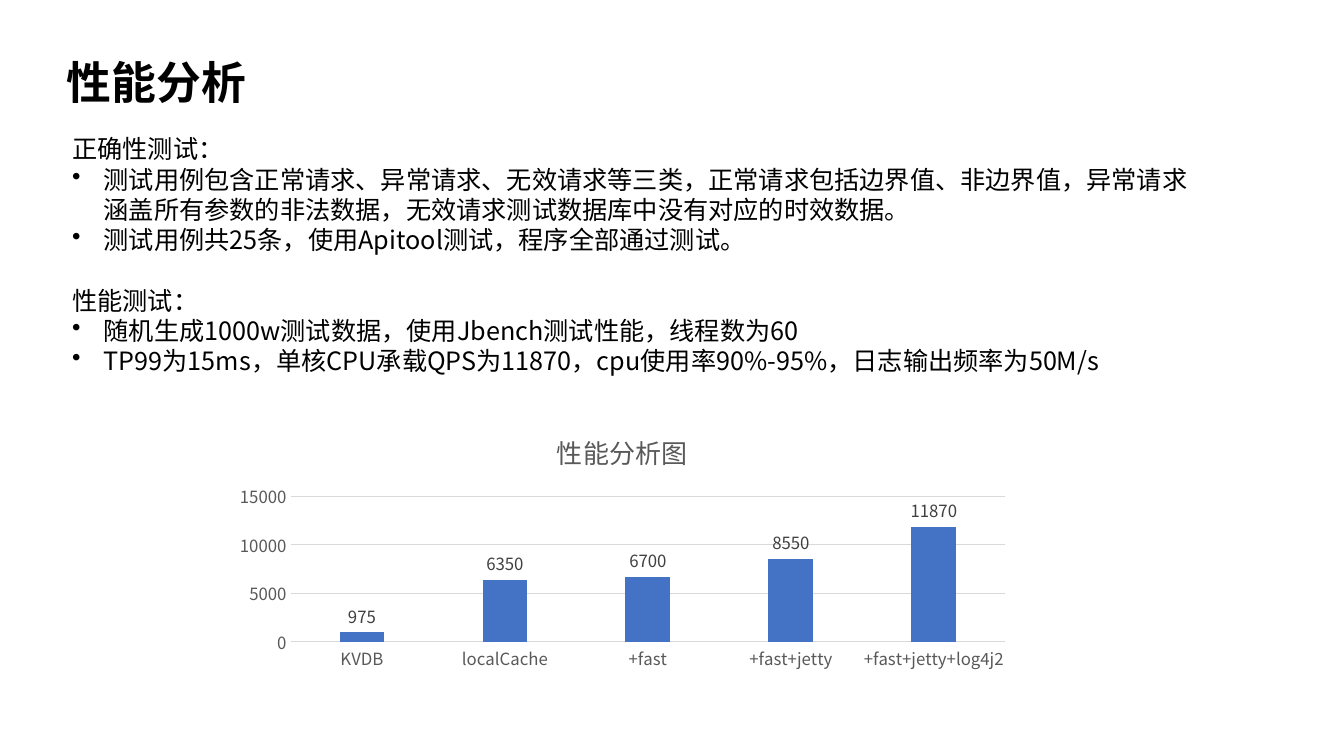
import pptx
import pptx.chart.data
import pptx.dml.color
import pptx.enum.chart
import pptx.enum.text
import pptx.oxml
import pptx.oxml.ns
import pptx.util
from pptx.util import Pt

BLACK = pptx.dml.color.RGBColor(0x00, 0x00, 0x00)
BLUE = pptx.dml.color.RGBColor(0x44, 0x72, 0xC4)
DARK_GRAY = pptx.dml.color.RGBColor(0x40, 0x40, 0x40)
GRAY = pptx.dml.color.RGBColor(0x59, 0x59, 0x59)
LIGHT_GRAY = pptx.dml.color.RGBColor(0xD9, 0xD9, 0xD9)

CORRECTNESS = [
    "测试用例包含正常请求、异常请求、无效请求等三类，正常请求包括边界值、非边界值，"
    "异常请求涵盖所有参数的非法数据，无效请求测试数据库中没有对应的时效数据。",
    "测试用例共25条，使用Apitool测试，程序全部通过测试。",
]
PERFORMANCE = [
    "随机生成1000w测试数据，使用Jbench测试性能，线程数为60",
    "TP99为15ms，单核CPU承载QPS为11870，cpu使用率90%-95%，日志输出频率为50M/s",
]
THROUGHPUT = {
    "KVDB": 975,
    "localCache": 6350,
    "+fast": 6700,
    "+fast+jetty": 8550,
    "+fast+jetty+log4j2": 11870,
}


class SlideBuilder:
    """Holds the text style and the current slide."""

    font_name = "Noto Sans CJK SC"
    line_factor = 1.2
    indent = 22.5

    def __init__(self, presentation):
        self.slide = presentation.slides.add_slide(presentation.slide_layouts[5])

    def style_font(self, font, size, color, bold=False):
        font.name, font.size, font.bold = self.font_name, Pt(size), bold
        font.color.rgb = color

    def style_paragraph(self, paragraph, size, bold=False):
        self.style_font(paragraph.font, size, BLACK, bold)
        paragraph.alignment = pptx.enum.text.PP_ALIGN.LEFT
        paragraph.line_spacing = Pt(size * self.line_factor)
        # East Asian typeface for the Chinese characters
        for run in paragraph.runs:
            properties = run.font._element if hasattr(run.font, "_element") else run._r.get_or_add_rPr()
            east_asian = pptx.oxml.parse_xml(
                f'<a:ea {pptx.oxml.ns.nsdecls("a")} typeface="{self.font_name}"/>')
            properties.append(east_asian)

    def style_frame(self, frame):
        frame.word_wrap = True
        frame.auto_size = pptx.enum.text.MSO_AUTO_SIZE.NONE
        frame.vertical_anchor = pptx.enum.text.MSO_ANCHOR.TOP

    def title(self, text, left, top, width, height):
        title = self.slide.shapes.title
        title.left, title.top, title.width, title.height = map(Pt, (left, top, width, height))
        title.text_frame.text = text
        self.style_frame(title.text_frame)
        self.style_paragraph(title.text_frame.paragraphs[0], 32, bold=True)

    def sections(self, sections, left, top, width, height, size=18):
        box = self.slide.shapes.add_textbox(*map(Pt, (left, top, width, height)))
        frame = box.text_frame
        self.style_frame(frame)
        lines = [(text, position > 0)
                 for heading, items in sections
                 for position, text in enumerate([heading, *items])]
        frame.text = "\n".join(text for text, _ in lines)
        for number, (paragraph, (_, bulleted)) in enumerate(zip(frame.paragraphs, lines)):
            self.style_paragraph(paragraph, size)
            if bulleted:
                self.bullet(paragraph)
            elif number:
                paragraph.space_before = Pt(size * self.line_factor)

    def bullet(self, paragraph):
        properties = paragraph._p.get_or_add_pPr()
        properties.set("marL", str(Pt(self.indent)))
        properties.set("indent", str(-Pt(self.indent)))
        mark = pptx.oxml.parse_xml(f'<a:buChar {pptx.oxml.ns.nsdecls("a")} char="•"/>')
        properties.find(pptx.oxml.ns.qn("a:defRPr")).addprevious(mark)

    def column_chart(self, title, values, left, top, width, height):
        data = pptx.chart.data.CategoryChartData(number_format="General")
        data.categories = list(values)
        data.add_series("QPS", list(values.values()))
        chart = self.slide.shapes.add_chart(
            pptx.enum.chart.XL_CHART_TYPE.COLUMN_CLUSTERED,
            *map(Pt, (left, top, width, height)), data).chart
        chart.has_legend = False
        self.style_font(chart.font, 12, GRAY)

        # Chart title
        chart.has_title = True
        chart.chart_title.include_in_layout = False
        chart.chart_title.text_frame.text = title
        self.style_font(chart.chart_title.text_frame.paragraphs[0].runs[0].font, 18.6, GRAY)

        # Axes
        for axis in (chart.category_axis, chart.value_axis):
            axis.major_tick_mark = pptx.enum.chart.XL_TICK_MARK.NONE
            axis.minor_tick_mark = pptx.enum.chart.XL_TICK_MARK.NONE
            self.style_font(axis.tick_labels.font, 12, GRAY)
        gridlines = chart.value_axis.major_gridlines
        for line in (chart.category_axis.format.line, gridlines.format.line):
            line.color.rgb, line.width = LIGHT_GRAY, Pt(0.75)
        chart.value_axis.format.line.fill.background()
        chart.value_axis.minimum_scale = 0
        chart.value_axis.maximum_scale = 15000
        chart.value_axis.major_unit = 5000

        # Columns and their values
        plot = chart.plots[0]
        plot.gap_width, plot.overlap, plot.vary_by_categories = 219, -27, False
        fill = plot.series[0].format.fill
        fill.solid()
        fill.fore_color.rgb = BLUE
        plot.has_data_labels = True
        labels = plot.data_labels
        labels.show_value = True
        labels.position = pptx.enum.chart.XL_LABEL_POSITION.OUTSIDE_END
        self.style_font(labels.font, 12, DARK_GRAY)


def main():
    presentation = pptx.Presentation()
    presentation.slide_width, presentation.slide_height = Pt(960), Pt(540)
    builder = SlideBuilder(presentation)

    # Heading and findings
    builder.title("性能分析", 40.5, 35.5, 326, 46)
    builder.sections([("正确性测试：", CORRECTNESS), ("性能测试：", PERFORMANCE)],
                     44.5, 92, 821.5, 181.5)

    # Throughput chart
    builder.column_chart("性能分析图", THROUGHPUT, 160, 296, 569.5, 187)

    presentation.save("out.pptx")


if __name__ == "__main__":
    main()
